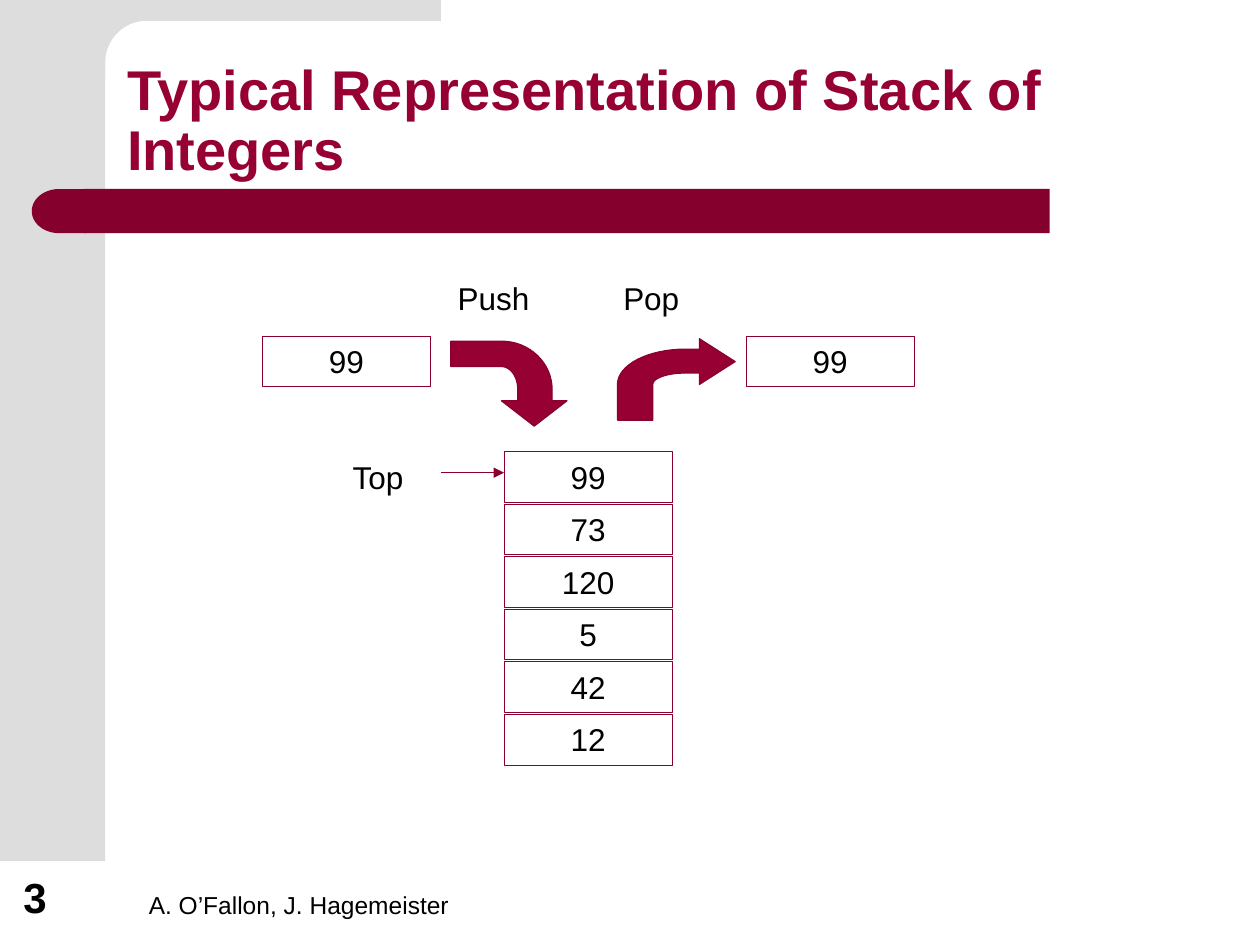
from math import cos, radians, sin

from lxml import etree
from pptx import Presentation
from pptx.dml.color import RGBColor
from pptx.enum.shapes import MSO_CONNECTOR, MSO_SHAPE
from pptx.enum.text import MSO_ANCHOR, MSO_AUTO_SIZE, PP_ALIGN
from pptx.oxml.ns import qn
from pptx.util import Cm, Pt

RECT, DELAY = MSO_SHAPE.RECTANGLE, MSO_SHAPE.FLOWCHART_DELAY
LINE = MSO_CONNECTOR.STRAIGHT
TOP, BOTTOM = MSO_ANCHOR.TOP, MSO_ANCHOR.BOTTOM
LEFT, CENTER = PP_ALIGN.LEFT, PP_ALIGN.CENTER
NO_FIT = MSO_AUTO_SIZE.NONE

COLORS = {
    name: RGBColor.from_string(code)
    for name, code in {
        "grey": "DDDDDD", "bar": "86002D", "edge": "8A002E",
        "red": "960032", "black": "000000",
    }.items()
}
BODY = {"name": "Arial", "size": Pt(18), "bold": False}
FOOT = {**BODY, "size": Pt(14)}
PAGE = {**BODY, "size": Pt(24), "bold": True}
HEAD = {**BODY, "size": Pt(32), "bold": True}


def write(shape, text, style, color="black", align=CENTER, anchor=TOP):
    frame = shape.text_frame
    frame.text = text
    frame.word_wrap = True
    frame.auto_size = NO_FIT
    frame.vertical_anchor = anchor
    para = frame.paragraphs[0]
    para.alignment = align
    for key, value in style.items():
        setattr(para.font, key, value)
    para.font.color.rgb = COLORS[color]


def arc(x, y, wide, high, start, end, steps=16):
    """Points on an ellipse about (x, y), angles in degrees clockwise from the right."""
    turns = [radians(start + (end - start) * i / steps) for i in range(steps + 1)]
    return [(x + wide * cos(t), y + high * sin(t)) for t in turns]


prs = Presentation()
prs.slide_width, prs.slide_height = Cm(25.4), Cm(19.05)
slide = prs.slides.add_slide(prs.slide_layouts[5])
shapes = slide.shapes

# Title
title = shapes.title
title.left, title.top, title.width, title.height = Cm(2.31), Cm(1.04), Cm(21.62), Cm(2.77)
write(title, "Typical Representation of Stack of Integers", HEAD, "red", LEFT, BOTTOM)
title.text_frame.paragraphs[0].line_spacing = 0.9

# Side band and title bar
for kind, x, y, w, h, color, turn in [
    (RECT, 0, 0, 2.12, 17.36, "grey", 0),
    (RECT, 1.69, 3.81, 19.47, 0.89, "bar", 0),
    (DELAY, 0.64, 3.81, 1.1, 0.89, "bar", 180),
]:
    band = shapes.add_shape(kind, Cm(x), Cm(y), Cm(w), Cm(h))
    band.shadow.inherit = False
    band.fill.solid()
    band.fill.fore_color.rgb = COLORS[color]
    band.line.fill.background()
    band.rotation = turn

# Rounded corner, push arrow and pop arrow
corner = [(8.89, 0), (8.89, 0.42), *arc(2.95, 1.27, 0.83, 0.85, -90, -180),
          (2.12, 1.55), (1.27, 1.55), (1.27, 0)]
push = [(10.77, 8.59), (11.43, 8.08), (11.13, 8.08),
        *arc(10.11, 7.85, 1.02, 0.97, 0, -90), (9.09, 6.88), (9.09, 7.39),
        *arc(10.11, 7.85, 0.33, 0.46, -90, 0), (10.44, 8.08), (10.11, 8.08)]
pop = [(14.82, 7.29), (14.1, 6.83), (14.1, 7.04),
       *arc(13.82, 7.75, 1.37, 0.71, -90, -180), (12.45, 8.47), (13.16, 8.47),
       *arc(13.82, 7.75, 0.66, 0.23, -180, -90), (14.1, 7.52), (14.1, 7.75)]
for points, color, edge in [(corner, "grey", None), (push, "red", "edge"), (pop, "red", "edge")]:
    spots = [(Cm(x), Cm(y)) for x, y in points]
    pen = shapes.build_freeform(*spots[0])
    pen.add_line_segments(spots[1:], close=True)
    form = pen.convert_to_shape()
    form.shadow.inherit = False
    form.fill.solid()
    form.fill.fore_color.rgb = COLORS[color]
    if edge:
        form.line.color.rgb = COLORS[edge]
        form.line.width = Pt(0.75)
    else:
        form.line.fill.background()

# Stack cells, with the moving value on each side
stack = ["99", "73", "120", "5", "42", "12"]
cells = [(text, 10.16, 9.1 + 1.06 * i) for i, text in enumerate(stack)]
for text, x, y in cells + [("99", 5.29, 6.77), ("99", 15.04, 6.77)]:
    cell = shapes.add_shape(RECT, Cm(x), Cm(y), Cm(3.39), Cm(1.02))
    cell.shadow.inherit = False
    cell.fill.background()
    cell.line.color.rgb = COLORS["edge"]
    cell.line.width = Pt(0.25)
    write(cell, text, BODY)

# Labels, footer and page number
for text, x, y, w, h, style, align, anchor in [
    ("Push", 8.89, 5.5, 2.12, 1.02, BODY, CENTER, TOP),
    ("Pop", 12.07, 5.5, 2.12, 1.02, BODY, CENTER, TOP),
    ("Top", 6.56, 9.1, 2.12, 1.02, BODY, CENTER, TOP),
    ("A. O’Fallon, J. Hagemeister", 2.75, 17.35, 9.53, 1.32, FOOT, LEFT, BOTTOM),
    ("3", 0.22, 17.35, 1.63, 1.35, PAGE, LEFT, BOTTOM),
]:
    label = shapes.add_textbox(Cm(x), Cm(y), Cm(w), Cm(h))
    write(label, text, style, align=align, anchor=anchor)

# Pointer to the top cell
link = shapes.add_connector(LINE, Cm(8.89), Cm(9.53), Cm(10.16), Cm(9.53))
link.line.color.rgb = COLORS["edge"]
link.line.width = Pt(0.75)
etree.SubElement(link.line._get_or_add_ln(), qn("a:tailEnd"), type="triangle")
etree.SubElement(link._element.spPr, qn("a:effectLst"))

prs.save("out.pptx")
